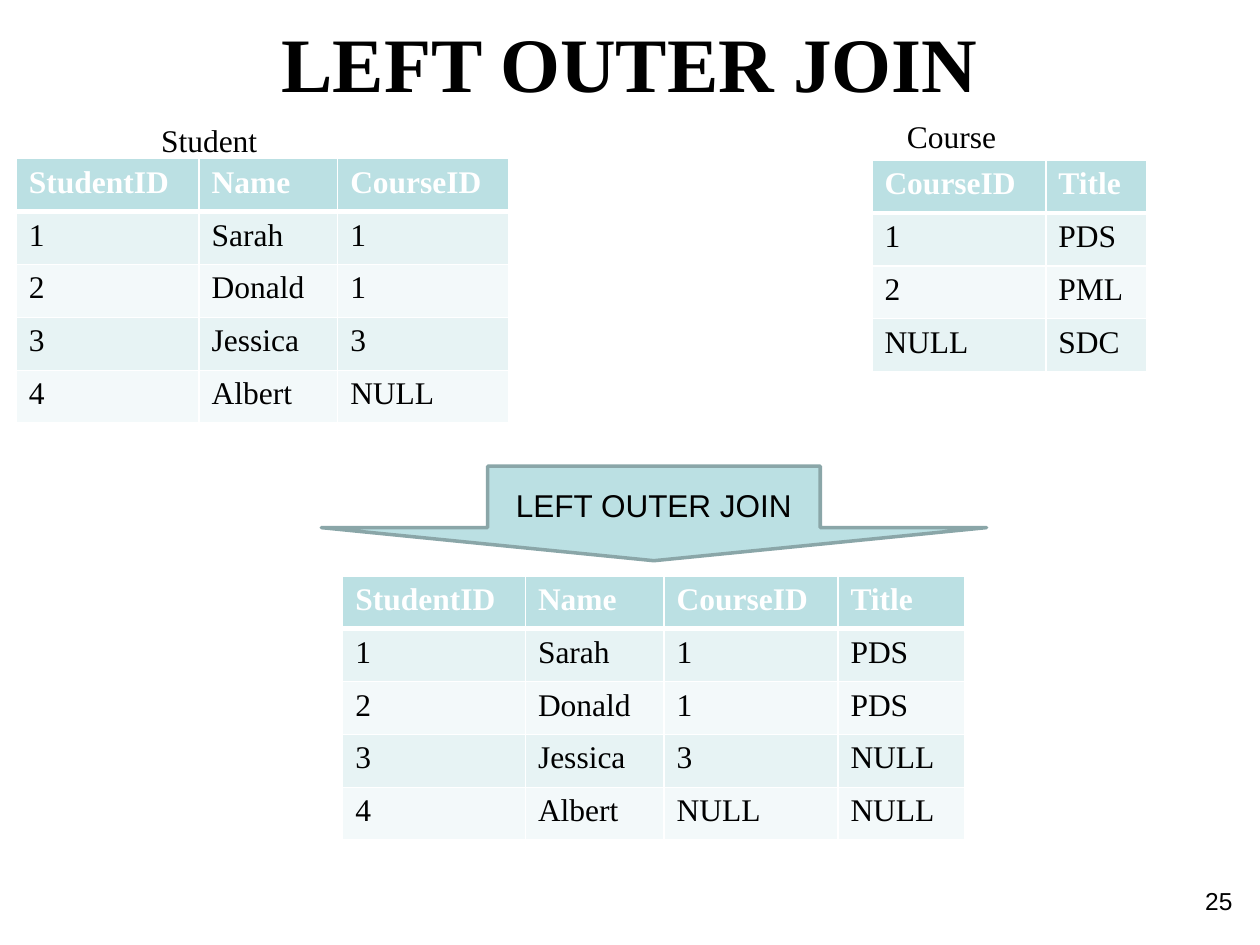
from lxml.etree import SubElement as Sub
from pptx import Presentation
from pptx.dml.color import RGBColor
from pptx.enum.shapes import MSO_SHAPE as Shape
from pptx.enum.text import MSO_ANCHOR as Anchor, PP_ALIGN as Align
from pptx.oxml.ns import qn
from pptx.util import Inches, Pt

BLACK = RGBColor(0x00, 0x00, 0x00)
WHITE = RGBColor(0xFF, 0xFF, 0xFF)
TEAL = RGBColor(0xBB, 0xE0, 0xE3)
PALE = RGBColor(0xE7, 0xF3, 0xF4)
MIST = RGBColor(0xF3, 0xF9, 0xFA)
EDGE = RGBColor(0x8A, 0xA6, 0xA8)
SERIF = "Times New Roman"
SANS = "Arial"


class Deck:
    row = 0.42

    def __init__(self):
        self.prs = Presentation()
        self.prs.slide_width = Inches(10)
        self.prs.slide_height = Inches(7.5)
        self.slide = self.prs.slides.add_slide(self.prs.slide_layouts[5])

    def text(self, frame, text, size=18, face=SERIF, color=BLACK,
             bold=False, align=Align.LEFT):
        para = frame.paragraphs[0]
        para.text = text
        para.alignment = align
        font = para.font
        font.size = Pt(size)
        font.name = face
        font.bold = bold
        font.color.rgb = color

    def title(self, text, x, y, w, h):
        box = self.slide.shapes.title
        box.left, box.top, box.width, box.height = map(Inches, (x, y, w, h))
        box.text_frame.vertical_anchor = Anchor.TOP
        self.text(box.text_frame, text, 44, bold=True, align=Align.CENTER)

    def label(self, text, x, y, w, h, **style):
        box = self.slide.shapes.add_textbox(*map(Inches, (x, y, w, h)))
        box.text_frame.word_wrap = True
        self.text(box.text_frame, text, **style)

    def arrow(self, text, x, y, w, h):
        shape = self.slide.shapes.add_shape(
            Shape.DOWN_ARROW, *map(Inches, (x, y, w, h)))
        shape.adjustments[0] = 0.5
        shape.adjustments[1] = 0.35
        shape.shadow.inherit = False
        shape.fill.solid()
        shape.fill.fore_color.rgb = TEAL
        shape.line.color.rgb = EDGE
        shape.line.width = Pt(2)
        shape.text_frame.vertical_anchor = Anchor.MIDDLE
        self.text(shape.text_frame, text, face=SANS, align=Align.CENTER)

    def border(self, cell, row):
        props = cell._tc.get_or_add_tcPr()
        heavy = {0: "lnB", 1: "lnT"}.get(row)
        for side in ("lnL", "lnR", "lnT", "lnB"):
            width = Pt(3 if side == heavy else 1)
            line = Sub(props, qn(f"a:{side}"), w=str(width))
            fill = Sub(line, qn("a:solidFill"))
            Sub(fill, qn("a:srgbClr"), val=str(WHITE))

    def table(self, x, y, cols, rows):
        table = self.slide.shapes.add_table(
            len(rows), len(cols), Inches(x), Inches(y),
            Inches(sum(cols)), Inches(self.row * len(rows))).table
        for col, width in zip(table.columns, cols):
            col.width = Inches(width)
        for i, texts in enumerate(rows):
            table.rows[i].height = Inches(self.row)
            head = i == 0
            for j, text in enumerate(texts):
                cell = table.cell(i, j)
                self.border(cell, i)
                cell.fill.solid()
                cell.fill.fore_color.rgb = (
                    TEAL if head else PALE if i % 2 else MIST)
                self.text(cell.text_frame, text, bold=head,
                          color=WHITE if head else BLACK)

    def save(self):
        self.prs.save("out.pptx")


def main():
    students = [
        ("StudentID", "Name", "CourseID"),
        ("1", "Sarah", "1"),
        ("2", "Donald", "1"),
        ("3", "Jessica", "3"),
        ("4", "Albert", "NULL"),
    ]
    courses = [
        ("CourseID", "Title"),
        ("1", "PDS"),
        ("2", "PML"),
        ("NULL", "SDC"),
    ]
    titles = ("Title", "PDS", "PDS", "NULL", "NULL")
    joined = [(*row, title) for row, title in zip(students, titles)]

    deck = Deck()
    deck.title("LEFT OUTER JOIN", 0, 0.07, 10, 0.84)
    deck.label("25", 7.55, 6.98, 2.33, 0.52, size=14, face=SANS,
               align=Align.RIGHT)
    deck.table(6.92, 1.27, (1.38, 0.8), courses)
    deck.table(0.13, 1.26, (1.45, 1.1, 1.36), students)
    deck.label("Course", 7.1, 0.88, 1.84, 0.4)
    deck.label("Student", 1.18, 0.91, 1.12, 0.4)
    deck.table(2.72, 4.57, (1.45, 1.1, 1.38, 1.01), joined)
    deck.arrow("LEFT OUTER JOIN", 2.55, 3.7, 5.28, 0.75)
    deck.save()


if __name__ == "__main__":
    main()
